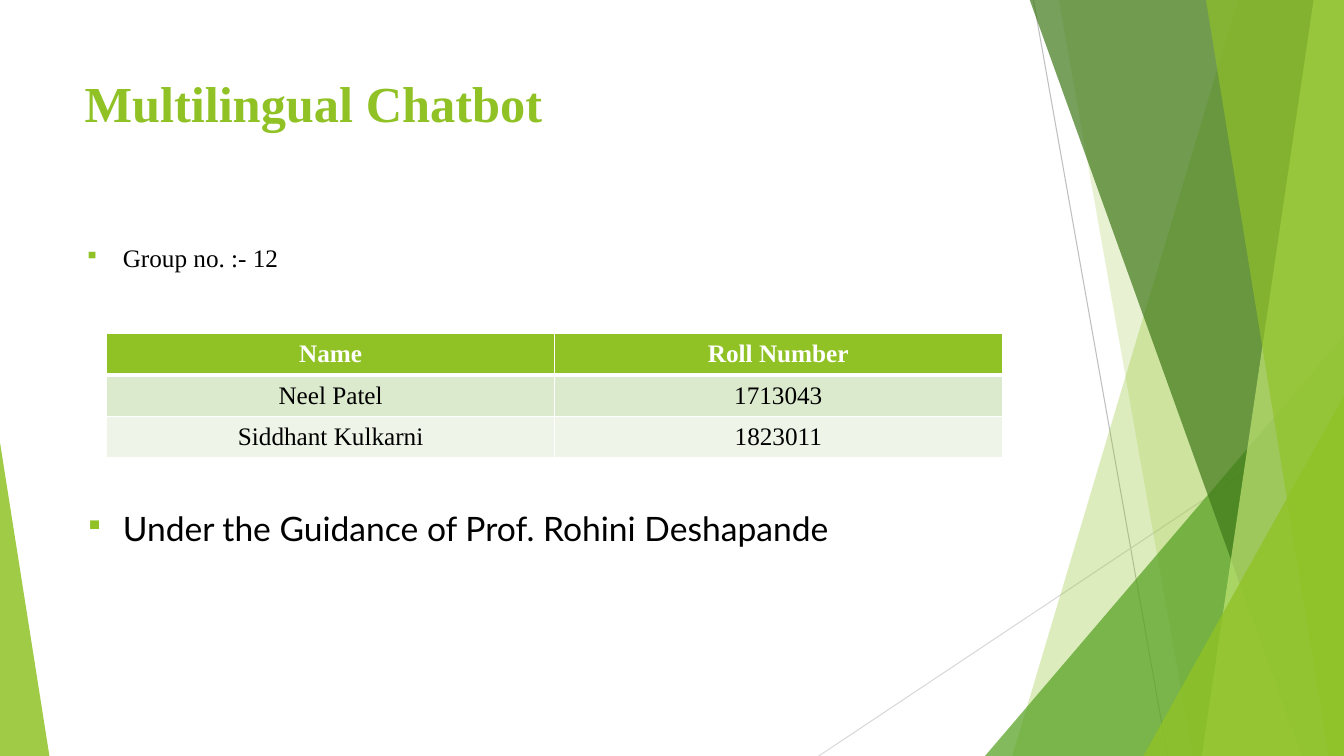
from lxml import etree
from pptx import Presentation
from pptx.dml.color import RGBColor
from pptx.enum.shapes import MSO_CONNECTOR, MSO_SHAPE
from pptx.enum.text import MSO_ANCHOR, PP_ALIGN
from pptx.oxml.ns import qn
from pptx.util import Inches, Pt

STRAIGHT = MSO_CONNECTOR.STRAIGHT
TRIANGLE = MSO_SHAPE.ISOSCELES_TRIANGLE
TOP, MIDDLE = MSO_ANCHOR.TOP, MSO_ANCHOR.MIDDLE
LEFT, CENTER = PP_ALIGN.LEFT, PP_ALIGN.CENTER

LIME = RGBColor(0x90, 0xC2, 0x26)
GREEN = RGBColor(0x54, 0xA0, 0x21)
FOREST = RGBColor(0x3F, 0x78, 0x19)
PALE_LIME = RGBColor(0xC0, 0xE4, 0x74)
GRAY = RGBColor(0xBF, 0xBF, 0xBF)
LIGHT_GRAY = RGBColor(0xD9, 0xD9, 0xD9)
BAND_DARK = RGBColor(0xDB, 0xE9, 0xCD)
BAND_LIGHT = RGBColor(0xEE, 0xF4, 0xE8)
WHITE = RGBColor(0xFF, 0xFF, 0xFF)
BLACK = RGBColor(0, 0, 0)

SERIF, SANS = "Times New Roman", "Lato"
WIDTH, HEIGHT = 13.33, 7.5
BAND_TOP = -0.01

MEMBERS = [
    ("Name", "Roll Number"),
    ("Neel Patel", "1713043"),
    ("Siddhant Kulkarni", "1823011"),
]


def add_xml(parent, tag, **attributes):
    """Append a DrawingML element and return it."""
    return etree.SubElement(parent, qn(tag), attributes)


def paint(shape, color, opacity):
    """Give a shape a flat fill with opacity in percent, no line or shadow."""
    shape.shadow.inherit = False
    shape.line.fill.background()
    shape.fill.solid()
    shape.fill.fore_color.rgb = color
    color_element = shape.fill._xPr.find(qn("a:solidFill"))[0]
    add_xml(color_element, "a:alpha", val=str(opacity * 1000))


def add_line(slide, start, end, color):
    """Draw a thin straight line between two points."""
    points = [Inches(value) for value in (*start, *end)]
    line = slide.shapes.add_connector(STRAIGHT, *points)
    line.line.color.rgb = color
    line.line.width = Pt(0.75)
    add_xml(line._element.spPr, "a:effectLst")


def add_band(slide, top_x, bottom_x, color, opacity):
    """Draw a band from a slanted left edge to the right slide edge."""
    corners = [(top_x, BAND_TOP), (WIDTH, BAND_TOP), (WIDTH, HEIGHT), (bottom_x, HEIGHT)]
    points = [(Inches(x), Inches(y)) for x, y in corners]
    builder = slide.shapes.build_freeform(*points[0])
    builder.add_line_segments(points[1:], close=True)
    paint(builder.convert_to_shape(), color, opacity)


def add_corner(slide, left, top, width, apex, color, opacity):
    """Draw a triangle that stands on the bottom edge of the slide."""
    shape = slide.shapes.add_shape(
        TRIANGLE, Inches(left), Inches(top), Inches(width), Inches(HEIGHT - top))
    shape.adjustments[0] = apex
    paint(shape, color, opacity)


def write(paragraph, text, *, size=18, font=SERIF, color=BLACK, bold=False,
          align=LEFT, before=0, bullet=False):
    """Put formatted text into a paragraph."""
    paragraph.alignment = align
    paragraph.space_before = Pt(before)
    run = paragraph.add_run()
    run.text = text
    run.font.size = Pt(size)
    run.font.name = font
    run.font.color.rgb = color
    run.font.bold = bold
    if bullet:
        properties = paragraph._p.get_or_add_pPr()
        indent = Inches(0.38)
        properties.set("marL", str(indent))
        properties.set("indent", str(-indent))
        bullet_color = add_xml(properties, "a:buClr")
        add_xml(bullet_color, "a:srgbClr", val=str(LIME))
        add_xml(properties, "a:buSzPct", val="80000")
        add_xml(properties, "a:buChar", char="▪")


def add_text_frame(slide, top, height):
    """Add a wrapping text box in the content column."""
    box = slide.shapes.add_textbox(Inches(0.74), Inches(top), Inches(9.4), Inches(height))
    frame = box.text_frame
    frame.word_wrap = True
    frame.vertical_anchor = TOP
    return frame


def set_borders(cell, top_width, bottom_width):
    """Give a cell white borders, placed before its fill."""
    properties = cell._tc.get_or_add_tcPr()
    sides = [("a:lnL", 1), ("a:lnR", 1), ("a:lnT", top_width), ("a:lnB", bottom_width)]
    for position, (tag, width) in enumerate(sides):
        border = add_xml(properties, tag, w=str(Pt(width)))
        fill = add_xml(border, "a:solidFill")
        add_xml(fill, "a:srgbClr", val=str(WHITE))
        properties.insert(position, border)


def add_members_table(slide):
    """Add the table of group members."""
    row_count, column_count = len(MEMBERS), len(MEMBERS[0])
    table = slide.shapes.add_table(
        row_count, column_count, Inches(1.06), Inches(3.31),
        Inches(4.44 * column_count), Inches(0.41 * row_count)).table
    fills = (LIME, BAND_DARK, BAND_LIGHT)
    for row, (values, fill) in enumerate(zip(MEMBERS, fills)):
        header = row == 0
        for column, value in enumerate(values):
            cell = table.cell(row, column)
            cell.fill.solid()
            cell.fill.fore_color.rgb = fill
            cell.vertical_anchor = MIDDLE
            set_borders(cell, 3 if row == 1 else 1, 3 if header else 1)
            write(cell.text_frame.paragraphs[0], value, bold=header,
                  color=WHITE if header else BLACK, align=CENTER)


def add_decoration(slide):
    """Draw the green facets and the thin lines behind the content."""
    add_line(slide, (10.25, 0), (11.58, HEIGHT), GRAY)
    add_line(slide, (WIDTH, 4.03), (8.12, HEIGHT), LIGHT_GRAY)
    add_band(slide, 12.28, 10.04, LIME, 30)
    add_band(slide, 10.5, 11.83, LIME, 20)
    add_corner(slide, 9.77, 3.33, 3.56, 1, GREEN, 72)
    add_band(slide, 10.21, 12.91, FOREST, 70)
    add_band(slide, 13.03, 11.92, PALE_LIME, 70)
    add_band(slide, 11.96, 13.18, LIME, 65)
    add_corner(slide, 11.34, 3.93, 1.99, 1, LIME, 80)
    add_corner(slide, 0, 4.39, 0.49, 0, LIME, 85)


def main():
    """Build the slide and save it."""
    presentation = Presentation()
    presentation.slide_width = Inches(WIDTH)
    presentation.slide_height = Inches(HEIGHT)
    slide = presentation.slides.add_slide(presentation.slide_layouts[6])

    add_decoration(slide)
    title = add_text_frame(slide, 0.67, 1.44)
    write(title.paragraphs[0], "Multilingual Chatbot", size=36, color=LIME, bold=True)
    body = add_text_frame(slide, 2.36, 4.24)
    write(body.paragraphs[0], "Group no. :- 12", before=10, bullet=True)
    write(body.add_paragraph(), "Under the Guidance of Prof. Rohini Deshapande",
          size=24, font=SANS, before=168, bullet=True)
    add_members_table(slide)

    presentation.save("out.pptx")


main()
